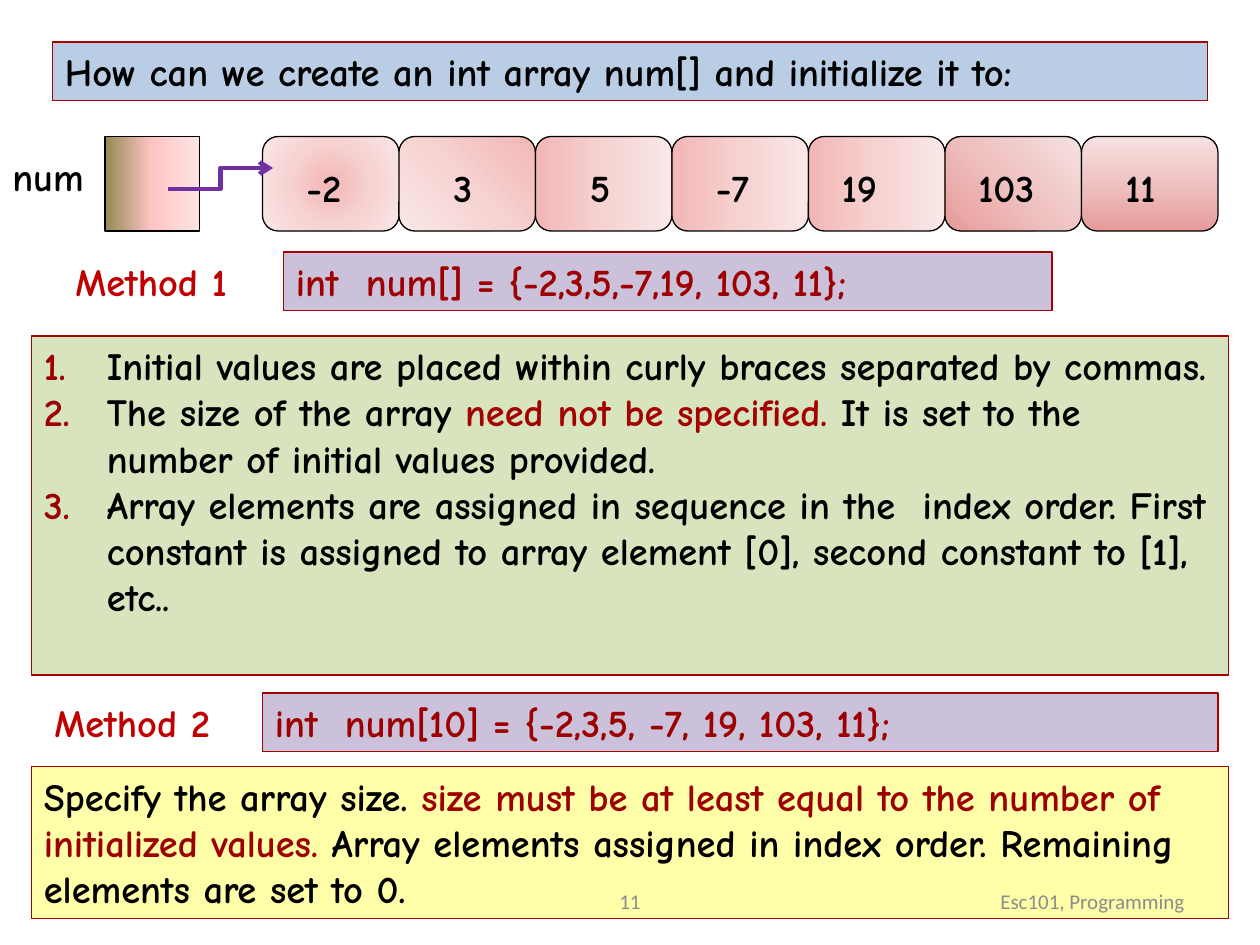
from lxml import etree
from pptx import Presentation
from pptx.dml.color import RGBColor
from pptx.enum.shapes import MSO_CONNECTOR as CONNECTOR, MSO_SHAPE as SHAPE
from pptx.enum.text import MSO_ANCHOR as ANCHOR, MSO_AUTO_SIZE as AUTO_SIZE, PP_ALIGN as ALIGN
from pptx.oxml import parse_xml
from pptx.oxml.ns import nsdecls, qn
from pptx.util import Pt

PX = 7620  # 120 px to the inch
COLORS = {
    "black": "000000", "red": "9D0000", "border": "A30000", "label": "C00000",
    "title": "B9CDE5", "code": "CCC1DA", "notes": "D7E4BD", "size": "FFFFA9",
    "arrow": "7030A0", "footer": "8C8C8C",
}
LIGHT = ["F2B7B6", "F6D2D1", "FAE8E8"]
DARK = ["E79A99", "EEC2C1", "F6E1E1"]
POINTER = ["948A54", "FFC5C5", "FFE3E3"]

presentation = Presentation()
presentation.slide_width, presentation.slide_height = 1200 * PX, 900 * PX
slide = presentation.slides.add_slide(presentation.slide_layouts[6])


def add_text(paragraphs, left, top, width, height, fill=None, border="border",
             color="black", size=22, font="Comic Neue", bold=True, wrap=True,
             numbered=False, align=ALIGN.LEFT, anchor=ANCHOR.TOP):
    """Each paragraph is a list of (text, color) runs; a string is one run."""
    box = [value * PX for value in (left, top, width, height)]
    if fill:
        shape = slide.shapes.add_shape(SHAPE.RECTANGLE, *box)
        shape.shadow.inherit = False
        shape.fill.solid()
        shape.fill.fore_color.rgb = RGBColor.from_string(COLORS[fill])
        shape.line.color.rgb = RGBColor.from_string(COLORS[border])
        shape.line.width = Pt(0.75)
    else:
        shape = slide.shapes.add_textbox(*box)
    frame = shape.text_frame
    frame.word_wrap, frame.vertical_anchor = wrap, anchor
    frame.auto_size = AUTO_SIZE.NONE if wrap else AUTO_SIZE.SHAPE_TO_FIT_TEXT
    if isinstance(paragraphs, str):
        paragraphs = [[(paragraphs, color)]]
    for index, runs in enumerate(paragraphs):
        paragraph = frame.paragraphs[0] if index == 0 else frame.add_paragraph()
        paragraph.alignment = align
        if numbered:
            properties = paragraph._p.get_or_add_pPr()
            properties.set("marL", str(60 * PX))
            properties.set("indent", str(-60 * PX))
            bullet_color = etree.SubElement(properties, qn("a:buClr"))
            etree.SubElement(bullet_color, qn("a:srgbClr"), val=COLORS["red"])
            etree.SubElement(properties, qn("a:buFont"), typeface="+mj-lt")
            etree.SubElement(properties, qn("a:buAutoNum"), type="arabicPeriod")
        for text, run_color in runs:
            run = paragraph.add_run()
            run.text = text
            run.font.name, run.font.size, run.font.bold = font, Pt(size), bold
            run.font.color.rgb = RGBColor.from_string(COLORS[run_color])


def add_cell(kind, left, width, stops, direction):
    """direction is a clockwise angle or the l, t, r, b percents of a focus."""
    shape = slide.shapes.add_shape(kind, left * PX, 130 * PX, width * PX, 90 * PX)
    shape.shadow.inherit = False
    shape.line.color.rgb = RGBColor.from_string(COLORS["black"])
    shape.line.width = Pt(0.75)
    if isinstance(direction, tuple):
        sides = " ".join(f'{side}="{percent * 1000}"'
                         for side, percent in zip("ltrb", direction))
        shade = f'<a:path path="circle"><a:fillToRect {sides}/></a:path>'
    else:
        shade = f'<a:lin ang="{direction * 60000}" scaled="0"/>'
    stop_list = "".join(f'<a:gs pos="{index * 50000}"><a:srgbClr val="{stop}"/></a:gs>'
                        for index, stop in enumerate(stops))
    gradient = parse_xml(f'<a:gradFill {nsdecls("a")} rotWithShape="1">'
                         f'<a:gsLst>{stop_list}</a:gsLst>{shade}</a:gradFill>')
    shape._element.spPr.find(qn("a:prstGeom")).addnext(gradient)


# Method 2 explanation, behind the footer
add_text([[("Specify the array size. ", "black"),
           ("size must be at least equal to the number of initialized values. ", "red"),
           ("Array elements assigned in index order. Remaining elements are set to 0.",
            "black")]],
         30, 730, 1140, 145, fill="size", border="red")

# Question
add_text("How can we create an int array num[] and initialize it to:",
         50, 40, 1100, 56, fill="title")

# Array cells: value, text left, text width, gradient stops, direction
cells = [
    ("-2", 280, 70, LIGHT, (50, 50, 50, 50)),
    ("3", 420, 47, LIGHT, 135),
    ("5", 550, 47, LIGHT, 0),
    ("-7", 670, 70, LIGHT, 0),
    ("19", 790, 70, LIGHT, 0),
    ("103", 920, 92, DARK, (0, 100, 100, 0)),
    ("11", 1060, 70, DARK, 270),
]
for index, (value, text_left, text_width, stops, direction) in enumerate(cells):
    add_cell(SHAPE.ROUNDED_RECTANGLE, 250 + index * 130, 130, stops, direction)
    add_text(value, text_left, 150, text_width, 56, wrap=False)

# Pointer to the array
add_cell(SHAPE.RECTANGLE, 100, 90, POINTER, 0)
add_text("num", 0, 140, 92, 56, wrap=False)
arrow = slide.shapes.add_connector(CONNECTOR.ELBOW, 160 * PX, 180 * PX, 260 * PX, 160 * PX)
arrow.line.color.rgb = RGBColor.from_string(COLORS["arrow"])
arrow.line.width = Pt(2.5)
etree.SubElement(arrow.line._get_or_add_ln(), qn("a:tailEnd"), type="arrow")
etree.SubElement(arrow._element.spPr, qn("a:effectLst"))

# Methods: label, label left, code, code left, code width, top
methods = [
    ("Method 1", 60, "int  num[] = {-2,3,5,-7,19, 103, 11};", 270, 732, 240),
    ("Method 2", 40, "int  num[10] = {-2,3,5, -7, 19, 103, 11};", 250, 910, 660),
]
for label, label_left, code, code_left, code_width, top in methods:
    add_text(label, label_left, top, 196, 56, color="label", wrap=False)
    add_text(code, code_left, top, code_width, 56, fill="code", color="red")

# Rules for method 1
add_text([
    [("Initial values are placed within curly braces separated by commas.", "black")],
    [("The size of the array ", "black"), ("need not be specified. ", "border"),
     ("It is set to the number of initial values provided.", "black")],
    [("Array elements are assigned in sequence in the  index order. First constant "
      "is assigned to array element [0], second constant to [1], etc..", "black")],
], 30, 320, 1140, 323, fill="notes", numbered=True)

# Footer
for text, left, width, align in [("Esc101, Programming", 860, 280, ALIGN.RIGHT),
                                 ("11", 410, 380, ALIGN.CENTER)]:
    add_text(text, left, 834, width, 48, color="footer", size=12, font="Calibri",
             bold=False, align=align, anchor=ANCHOR.MIDDLE)

presentation.save("out.pptx")
